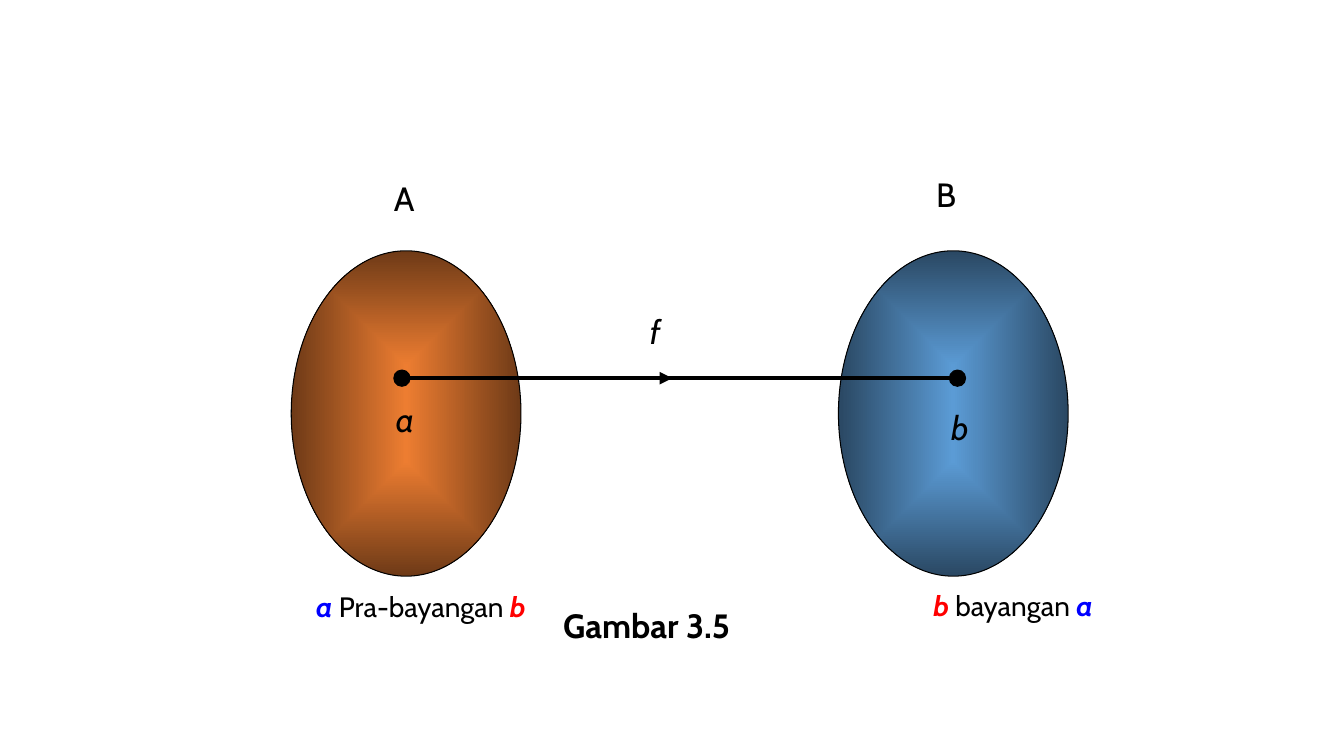
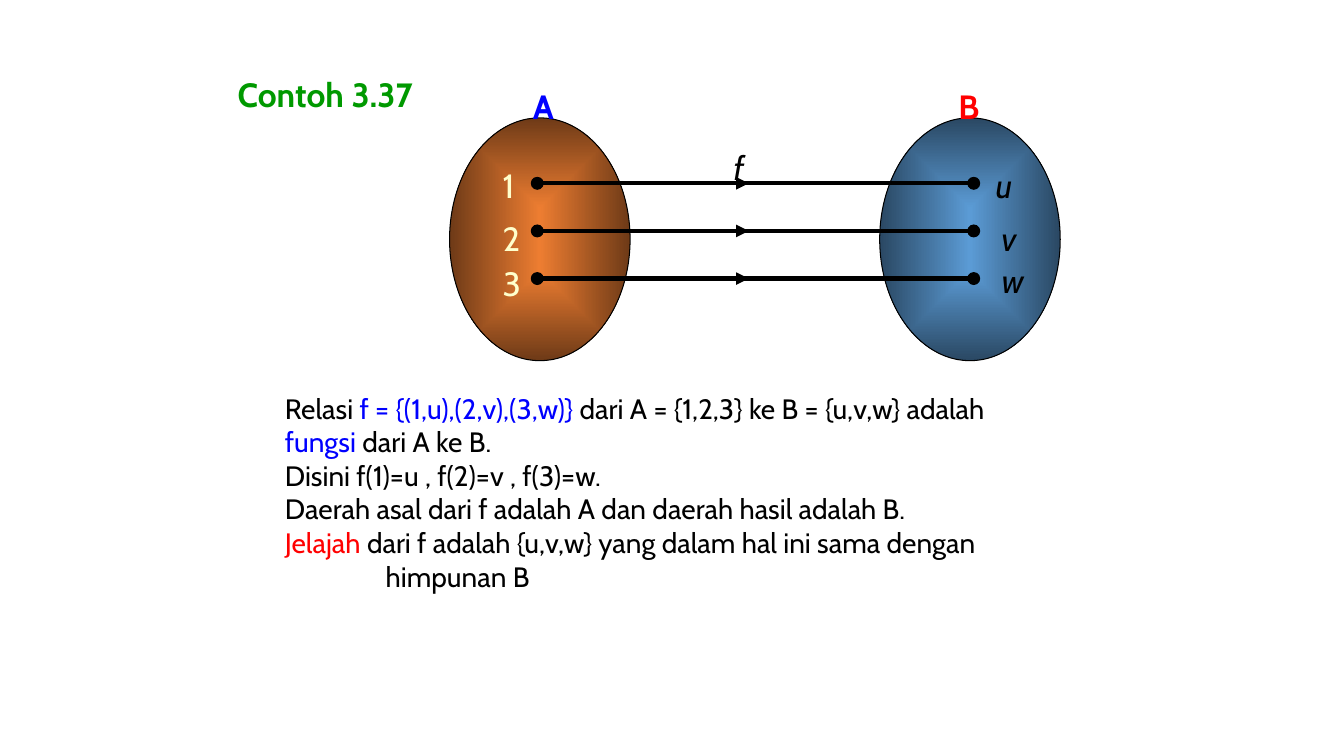
from lxml import etree
from pptx import Presentation
from pptx.dml.color import RGBColor
from pptx.enum import shapes, text
from pptx.oxml import ns
from pptx.util import Cm, Pt

BLACK = RGBColor(0x00, 0x00, 0x00)
BLUE = RGBColor(0x00, 0x00, 0xFF)
RED = RGBColor(0xFF, 0x00, 0x00)
GREEN = RGBColor(0x00, 0x99, 0x00)
CREAM = RGBColor(0xFF, 0xFF, 0xCC)
ORANGE_SET = RGBColor(0xED, 0x7D, 0x31), RGBColor(0x6E, 0x3A, 0x17)
BLUE_SET = RGBColor(0x5B, 0x9B, 0xD5), RGBColor(0x2A, 0x48, 0x63)

PLAIN = {}
ITALIC = {"italic": True}
BOLD = {"bold": True}
IN_BLUE = {"color": BLUE}
IN_RED = {"color": RED}
IN_CREAM = {"color": CREAM}
PREIMAGE = {"bold": True, "italic": True, "color": BLUE}
IMAGE = {"bold": True, "italic": True, "color": RED}


class Slides:
    font = "Cabin"
    large, small = 24, 20
    outline, stroke = 0.75, 3

    def __init__(self):
        self.deck = Presentation()
        self.deck.slide_width, self.deck.slide_height = Cm(33.87), Cm(19.05)
        self.page = None

    def new_page(self):
        self.page = self.deck.slides.add_slide(self.deck.slide_layouts[6])

    def ellipse(self, left, top, width, height):
        oval = self.page.shapes.add_shape(
            shapes.MSO_SHAPE.OVAL, Cm(left), Cm(top), Cm(width), Cm(height))
        oval.shadow.inherit = False
        oval.line.color.rgb = BLACK
        oval.line.width = Pt(self.outline)
        return oval

    def set_oval(self, left, top, width, height, colors):
        """Draw a set as an ellipse shaded from its centre outwards."""
        oval = self.ellipse(left, top, width, height)
        oval.fill.gradient()
        for stop, color in zip(oval.fill.gradient_stops, colors):
            stop.color.rgb = color
        gradient = oval._element.spPr.find(ns.qn("a:gradFill"))
        gradient.remove(gradient.find(ns.qn("a:lin")))
        shading = etree.SubElement(gradient, ns.qn("a:path"), {"path": "shape"})
        centre = dict.fromkeys("ltrb", "50000")
        etree.SubElement(shading, ns.qn("a:fillToRect"), centre)

    def dot(self, x, y, size):
        point = self.ellipse(x - size / 2, y - size / 2, size, size)
        point.fill.solid()
        point.fill.fore_color.rgb = BLACK

    def line(self, start, end, y, arrow=False):
        link = self.page.shapes.add_connector(
            shapes.MSO_CONNECTOR.STRAIGHT, Cm(start), Cm(y), Cm(end), Cm(y))
        link.line.color.rgb = BLACK
        link.line.width = Pt(self.stroke)
        properties = link._element.spPr
        if arrow:
            etree.SubElement(properties.find(ns.qn("a:ln")),
                             ns.qn("a:tailEnd"), {"type": "triangle"})
        etree.SubElement(properties, ns.qn("a:effectLst"))

    def mapping(self, start, middle, end, y, size):
        """Join two elements, with an arrowhead half-way."""
        self.line(start, end, y)
        self.line(start, middle, y, arrow=True)
        for x in (start, end):
            self.dot(x, y, size)

    def text_box(self, left, top, width, *paragraphs, size=large, indents=()):
        """Add paragraphs, each a list of (words, format) pairs.

        The paragraphs numbered in indents are set in by one tab width.
        """
        height = len(paragraphs) * size * 0.0425 + 0.25
        box = self.page.shapes.add_textbox(
            Cm(left), Cm(top), Cm(width), Cm(height))
        frame = box.text_frame
        frame.word_wrap = False
        frame.auto_size = text.MSO_AUTO_SIZE.SHAPE_TO_FIT_TEXT
        for number, spans in enumerate(paragraphs):
            para = frame.add_paragraph() if number else frame.paragraphs[0]
            if number in indents:
                para._p.get_or_add_pPr().set("marL", str(int(Cm(2.54))))
            for words, style in spans:
                self.add_span(para, words, size, style)

    def add_span(self, para, words, size, style):
        span = para.add_run()
        span.text = words
        values = {"name": self.font, "size": Pt(size), "color": BLACK, **style}
        span.font.color.rgb = values.pop("color")
        for name, value in values.items():
            setattr(span.font, name, value)

    def labels(self, *items):
        for words, left, top, width, style in items:
            self.text_box(left, top, width, [(words, style)])


def image_page(slides):
    slides.new_page()
    for left, colors in ((7.34, ORANGE_SET), (21.13, BLUE_SET)):
        slides.set_oval(left, 6.32, 5.79, 8.2, colors)
    slides.mapping(10.13, 16.94, 24.13, 9.53, 0.41)
    slides.labels(
        ("A", 9.68, 4.37, 1.02, PLAIN),
        ("B", 23.34, 4.27, 1.02, PLAIN),
        ("a", 9.73, 9.93, 0.97, ITALIC),
        ("b", 23.72, 10.13, 0.99, ITALIC),
        ("f", 16.13, 7.72, 0.79, ITALIC),
        ("Gambar 3.5", 13.94, 15.11, 5.69, BOLD),
    )
    slides.text_box(23.27, 14.71, 4.85,
                    [("b", IMAGE), (" bayangan ", PLAIN), ("a", PREIMAGE)],
                    size=slides.small)
    slides.text_box(7.72, 14.73, 6.32,
                    [("a", PREIMAGE), (" Pra-bayangan ", PLAIN), ("b", IMAGE)],
                    size=slides.small)


def example_page(slides):
    slides.new_page()
    for left, colors in ((11.33, ORANGE_SET), (22.17, BLUE_SET)):
        slides.set_oval(left, 2.97, 4.55, 6.12, colors)
    for row in range(3):
        slides.mapping(13.54, 18.87, 24.54, 4.62 + 1.2 * row, 0.3)
    slides.labels(
        ("A", 13.18, 2.03, 1.09, {**BOLD, **IN_BLUE}),
        ("B", 23.9, 2.03, 1.09, {**BOLD, **IN_RED}),
        ("1", 12.42, 4.04, 0.99, IN_CREAM),
        ("2", 12.42, 5.36, 0.99, IN_CREAM),
        ("3", 12.42, 6.5, 0.99, IN_CREAM),
        ("u", 24.84, 4.04, 0.99, ITALIC),
        ("v", 24.99, 5.36, 0.94, ITALIC),
        ("w", 24.99, 6.43, 1.14, ITALIC),
        ("f", 18.24, 3.58, 0.79, ITALIC),
        ("Contoh 3.37", 5.74, 1.73, 5.69, {**BOLD, "color": GREEN}),
    )
    slides.text_box(
        6.93, 9.73, 21.92,
        [("Relasi ", PLAIN), ("f = {(1,u),(2,v),(3,w)}", IN_BLUE),
         (" dari A = {1,2,3} ke B = {u,v,w} adalah", PLAIN)],
        [("fungsi", IN_BLUE), (" dari A ke B.", PLAIN)],
        [("Disini f(1)=u , f(2)=v , f(3)=w.", PLAIN)],
        [("Daerah asal dari f adalah A dan daerah hasil adalah B.", PLAIN)],
        [("Jelajah", IN_RED),
         (" dari f adalah {u,v,w} yang dalam hal ini sama dengan", PLAIN)],
        [("himpunan B", PLAIN)],
        size=slides.small, indents=(5,))


def main():
    slides = Slides()
    image_page(slides)
    example_page(slides)
    slides.deck.save("out.pptx")


if __name__ == "__main__":
    main()
